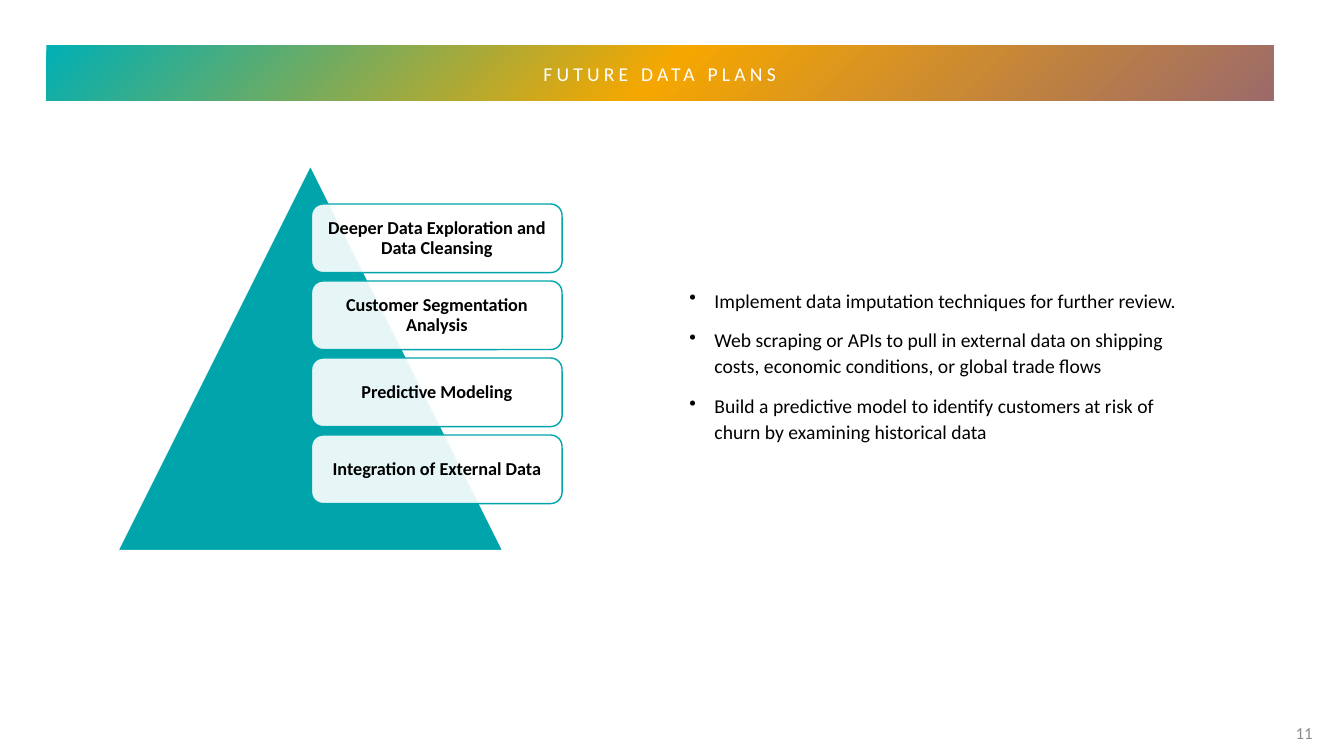
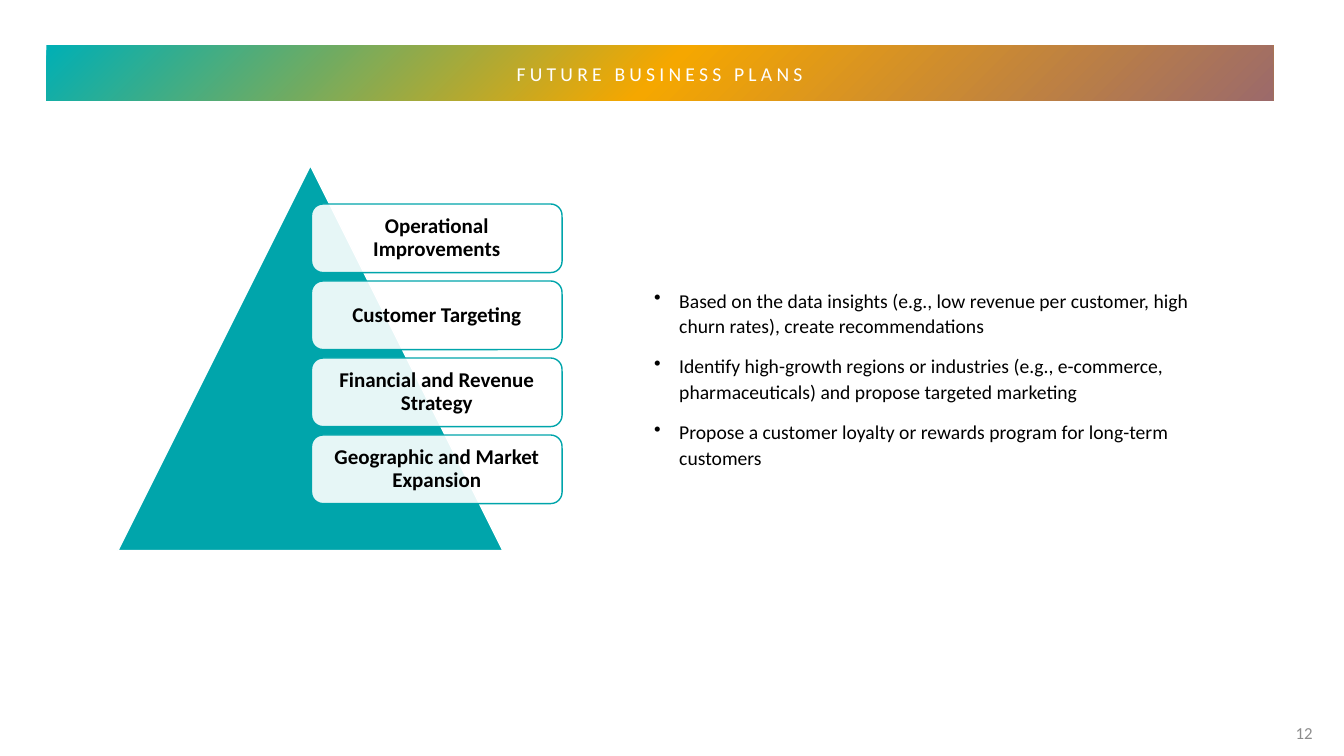
"""Build two plan slides, each with a pyramid list and bullet notes."""
from lxml import etree
from pptx import Presentation
from pptx.dml.color import RGBColor
from pptx.enum.shapes import MSO_SHAPE
from pptx.enum.text import MSO_ANCHOR, PP_ALIGN
from pptx.oxml import parse_xml
from pptx.oxml.ns import nsdecls, qn
from pptx.util import Pt

RECT = MSO_SHAPE.RECTANGLE
ROUND = MSO_SHAPE.ROUNDED_RECTANGLE
PEAK = MSO_SHAPE.ISOSCELES_TRIANGLE
MIDDLE, TOP = MSO_ANCHOR.MIDDLE, MSO_ANCHOR.TOP
LEFT, CENTER, RIGHT = PP_ALIGN.LEFT, PP_ALIGN.CENTER, PP_ALIGN.RIGHT

TEAL = RGBColor(0x00, 0xA5, 0xAB)
AQUA = RGBColor(0x00, 0xAF, 0xB5)
AMBER = RGBColor(0xF5, 0xA7, 0x00)
MAUVE = RGBColor(0x9C, 0x6A, 0x6A)
GREY = RGBColor(0x8C, 0x8C, 0x8C)
WHITE = RGBColor(0xFF, 0xFF, 0xFF)
BLACK = RGBColor(0x00, 0x00, 0x00)

FONT = "Calibri"
STOPS = ((0, MAUVE), (50, AMBER), (100, AQUA))
NOTE_END = 866.9
STEP = 55

PLANS = (
    {
        "title": "FUTURE DATA PLANS",
        "page": "11",
        "size": 13,
        "steps": (
            "Deeper Data Exploration and Data Cleansing",
            "Customer Segmentation Analysis",
            "Predictive Modeling",
            "Integration of External Data",
        ),
        "left": 485.3,
        "notes": (
            "Implement data imputation techniques for further review.",
            "Web scraping or APIs to pull in external data on shipping costs, "
            "economic conditions, or global trade flows",
            "Build a predictive model to identify customers at risk of churn "
            "by examining historical data",
        ),
    },
    {
        "title": "FUTURE BUSINESS PLANS",
        "page": "12",
        "size": 15,
        "steps": (
            "Operational Improvements",
            "Customer Targeting",
            "Financial and Revenue Strategy",
            "Geographic and Market Expansion",
        ),
        "left": 460.1,
        "notes": (
            "Based on the data insights (e.g., low revenue per customer, high "
            "churn rates), create recommendations",
            "Identify high-growth regions or industries (e.g., e-commerce, "
            "pharmaceuticals) and propose targeted marketing",
            "Propose a customer loyalty or rewards program for long-term "
            "customers",
        ),
    },
)


def write(shape, lines, size, color, align, anchor=MIDDLE):
    """Fill a shape with uniform paragraphs and return them."""
    frame = shape.text_frame
    frame.word_wrap = True
    frame.vertical_anchor = anchor
    frame.text = "\n".join(lines)
    for para in frame.paragraphs:
        para.alignment = align
        para.font.name = FONT
        para.font.size = Pt(size)
        para.font.color.rgb = color
    return frame.paragraphs


def add_form(shapes, kind, area, fill, line=None):
    """Add a flat preset shape with an optional outline."""
    form = shapes.add_shape(kind, *map(Pt, area))
    form.shadow.inherit = False
    form.fill.solid()
    form.fill.fore_color.rgb = fill
    if line is None:
        form.line.fill.background()
    else:
        form.line.color.rgb = line
        form.line.width = Pt(1)
    return form


def add_blend(form):
    """Replace a solid fill by a blend from the lower right corner."""
    stops = "".join(
        f'<a:gs pos="{pos * 1000}"><a:srgbClr val="{color}"/></a:gs>'
        for pos, color in STOPS
    )
    blend = parse_xml(
        f'<a:gradFill {nsdecls("a")} rotWithShape="1"><a:gsLst>{stops}</a:gsLst>'
        '<a:path path="circle"><a:fillToRect l="100000" t="100000"/></a:path>'
        '<a:tileRect r="-100000" b="-100000"/></a:gradFill>'
    )
    props = form._element.spPr
    props.replace(props.find(qn("a:solidFill")), blend)


def add_frame(slide, title, page):
    """Add the title band and the page number."""
    band = add_form(slide.shapes, RECT, (33.2, 32.4, 876.2, 39.8), AMBER)
    add_blend(band)
    head = write(band, [title], 14, WHITE, CENTER)[0]
    head.font._element.set("spc", "300")
    foot = slide.shapes.add_textbox(*map(Pt, (909.4, 509, 35.3, 28.8)))
    write(foot, [page], 12, GREY, RIGHT)


def add_peak(slide, steps, size):
    """Add a triangle with a stack of step boxes."""
    shapes = slide.shapes.add_group_shape().shapes
    add_form(shapes, PEAK, (84.2, 118.3, 275, 275), TEAL, WHITE)
    for row, step in enumerate(steps):
        area = (222.5, 145.7 + row * STEP, 179, 49)
        box = add_form(shapes, ROUND, area, WHITE, TEAL)
        tint = box._element.spPr.find(".//" + qn("a:srgbClr"))
        etree.SubElement(tint, qn("a:alpha"), val="90000")
        frame = box.text_frame
        frame.margin_left = frame.margin_right = Pt(6)
        frame.margin_top = frame.margin_bottom = Pt(4)
        para = write(box, [step], size, BLACK, CENTER)[0]
        para.font.bold = True
        para.line_spacing = 0.9


def add_notes(slide, left, notes):
    """Add the bullet list beside the triangle."""
    area = (left, 204.4, NOTE_END - left, 152)
    box = slide.shapes.add_textbox(*map(Pt, area))
    box.text_frame.margin_top = 0
    for para in write(box, notes, 14, BLACK, LEFT, TOP):
        para.line_spacing = 1.1
        para.space_after = Pt(10)
        props = para._p.get_or_add_pPr()
        props.set("marL", str(Pt(18)))
        props.set("indent", str(Pt(-18)))
        mark = parse_xml(f'<a:buChar {nsdecls("a")} char="•"/>')
        props.find(qn("a:defRPr")).addprevious(mark)


def main():
    """Build and save the deck."""
    deck = Presentation()
    deck.slide_width, deck.slide_height = Pt(960), Pt(540)
    for plan in PLANS:
        slide = deck.slides.add_slide(deck.slide_layouts[6])
        add_frame(slide, plan["title"], plan["page"])
        add_peak(slide, plan["steps"], plan["size"])
        add_notes(slide, plan["left"], plan["notes"])
    deck.save("out.pptx")


if __name__ == "__main__":
    main()
